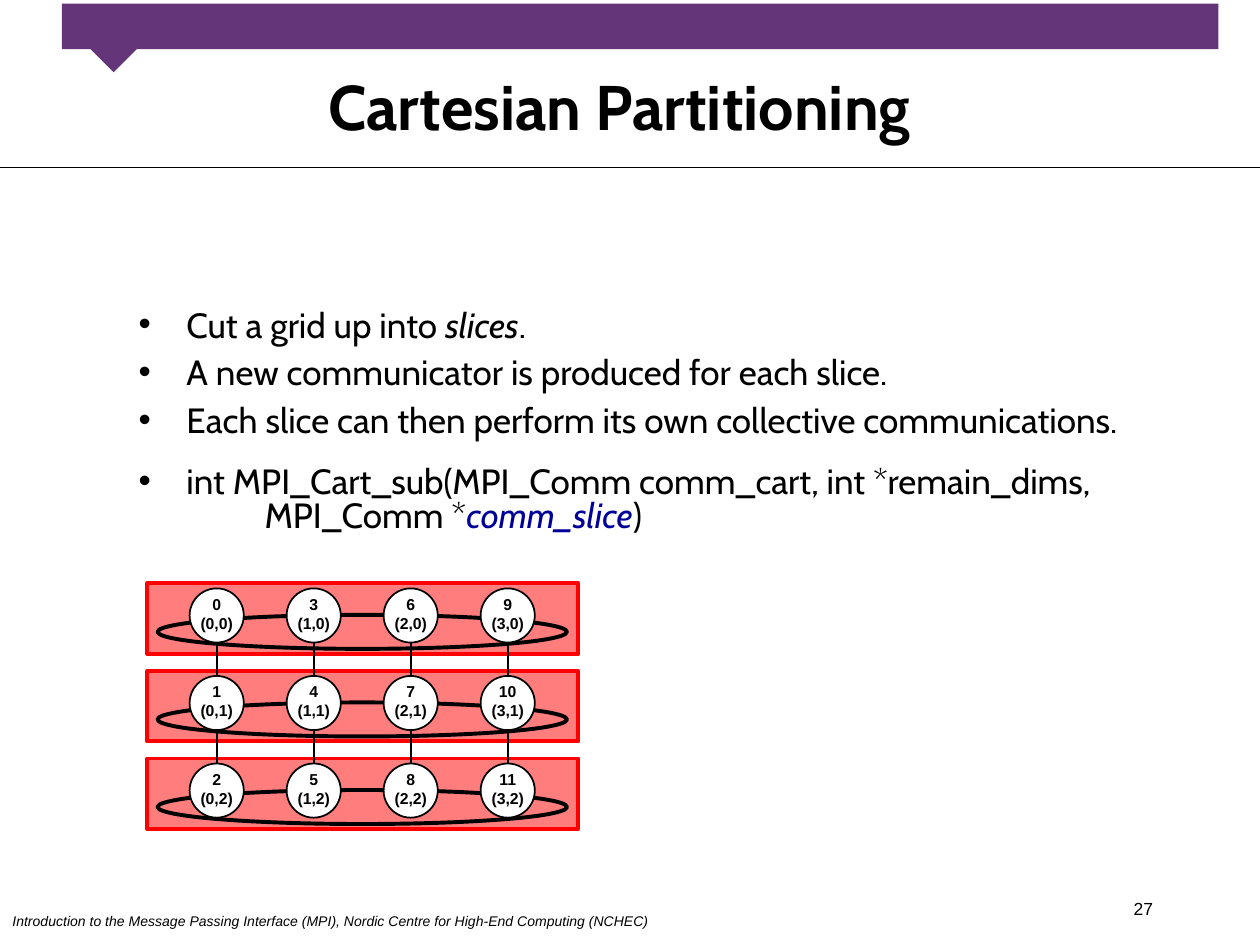
import pptx
import pptx.util
import pptx.dml.color
import pptx.enum.shapes
import pptx.enum.text
import pptx.oxml
import pptx.oxml.ns

# Grid: 100 columns by 75 rows over a slide of 10 by 7.5 inches
WIDE, HIGH = pptx.util.Inches(10), pptx.util.Inches(7.5)
COLS, ROWS = 100, 75
HUES = {"black": "000000", "white": "FFFFFF", "plum": "653579",
        "pink": "FF7D7D", "red": "FF0000", "navy": "000099"}
KIND = pptx.enum.shapes.MSO_SHAPE
ALIGN = pptx.enum.text.PP_ALIGN
MID = pptx.enum.text.MSO_ANCHOR.MIDDLE
TOP = pptx.enum.text.MSO_ANCHOR.TOP


def hue(name):
    return pptx.dml.color.RGBColor.from_string(HUES[name])


def span(box):
    """Turn left, top, width, height in grid units into lengths."""
    x, y, w, h = box
    return (int(x * WIDE / COLS), int(y * HIGH / ROWS),
            int(w * WIDE / COLS), int(h * HIGH / ROWS))


def place(item, box):
    item.left, item.top, item.width, item.height = span(box)


def shape(slide, kind, box, fill=None, edge=None, thick=1):
    item = slide.shapes.add_shape(kind, *span(box))
    item.shadow.inherit = False
    if fill:
        item.fill.solid()
        item.fill.fore_color.rgb = hue(fill)
    else:
        item.fill.background()
    if edge:
        item.line.color.rgb = hue(edge)
        item.line.width = pptx.util.Pt(thick)
    else:
        item.line.fill.background()
    return item


def rule(slide, x, y, w, h, thick):
    left, top, wide, high = span((x, y, w, h))
    line = slide.shapes.add_connector(
        pptx.enum.shapes.MSO_CONNECTOR.STRAIGHT,
        left, top, left + wide, top + high)
    line.line.color.rgb = hue("black")
    line.line.width = pptx.util.Pt(thick)
    pptx.oxml.ns.qn("a:effectLst")
    line.element.spPr.append(pptx.oxml.parse_xml(
        "<a:effectLst %s/>" % pptx.oxml.ns.nsdecls("a")))


def write(para, text, size, face="Cabin", tint="black", bold=False, slant=False):
    run = para.add_run()
    run.text = text
    font = run.font
    font.size, font.name = pptx.util.Pt(size), face
    font.bold, font.italic = bold, slant
    font.color.rgb = hue(tint)


def frame(item, anchor=TOP, sides=(0.1, 0.05, 0.1, 0.05), wrap=True):
    text = item.text_frame
    text.word_wrap = wrap
    text.auto_size = pptx.enum.text.MSO_AUTO_SIZE.NONE
    text.vertical_anchor = anchor
    (text.margin_left, text.margin_top, text.margin_right,
     text.margin_bottom) = map(pptx.util.Inches, sides)
    return text


def label(slide, box, lines, size, align=ALIGN.LEFT, **look):
    """Plain text box with one paragraph for each line."""
    return fill_in(slide.shapes.add_textbox(*span(box)), lines, size, align, look)


def fill_in(item, lines, size, align, look, **setup):
    text = frame(item, **setup)
    for i, line in enumerate(lines):
        para = text.add_paragraph() if i else text.paragraphs[0]
        para.alignment = align
        write(para, line, size, **look)
    return text


def header(slide, box):
    """Purple band with a pointer, title and rule below."""
    x, y, w, h = box
    shape(slide, KIND.RECTANGLE, (x + 4.9, y + 0.3, w - 8.2, 3.6), "plum")
    tip = shape(slide, KIND.RECTANGLE, (x + 7.7, y + 1.2, 3.2, 4), "plum")
    tip.rotation = 45
    title = slide.shapes.title
    place(title, (x + 8.3, y + 5, w - 18.3, 6.7))
    fill_in(title, ["Cartesian Partitioning"], 36, ALIGN.CENTER,
            {"bold": True}, anchor=MID)
    rule(slide, x, y + h, w, 0, 0.75)


def footer(slide, box):
    x, y, w, h = box
    label(slide, (x, y + 1.1, 51.5, 2.4),
          ["Introduction to the Message Passing Interface (MPI), "
           "Nordic Centre for High-End Computing (NCHEC)"],
          8, face="Arial", slant=True).word_wrap = False
    label(slide, (x + w - 28.3, y, 20.8, 2.5), ["27"], 10, ALIGN.RIGHT, face="Arial")


def bullet(para):
    props = para._p.get_or_add_pPr()
    inset = pptx.util.Inches(0.38)
    props.set("marL", str(inset))
    props.set("indent", str(-inset))
    space = pptx.oxml.ns.nsdecls("a")
    for part in ('<a:buClr %s><a:srgbClr val="' + HUES["black"] + '"/></a:buClr>',
                 '<a:buFont %s typeface="Arial"/>', '<a:buChar %s char="•"/>'):
        props.append(pptx.oxml.parse_xml(part % space))


def points(slide, box):
    """Bulleted list: space before, then runs of text and look."""
    em = {"slant": True}
    items = [
        (0, [("Cut a grid up into ", {}), ("slices", em), (".", {})]),
        (8, [("A new communicator is produced for each slice.", {})]),
        (8, [("Each slice can then perform its own collective communications.", {})]),
        (16, [("int MPI_Cart_sub(MPI_Comm comm_cart, int *remain_dims,", {}),
              None, ("\t\tMPI_Comm *", {}),
              ("comm_slice", {"slant": True, "tint": "navy"}), (")", {})]),
    ]
    body = slide.placeholders[1]
    place(body, box)
    text = frame(body, sides=(0.1, 0.05, 0.04, 0.05))
    for i, (gap, runs) in enumerate(items):
        para = text.add_paragraph() if i else text.paragraphs[0]
        para.line_spacing = 0.8
        para.space_before = pptx.util.Pt(gap)
        bullet(para)
        for run in runs:
            if run is None:
                para.add_line_break()
            else:
                write(para, run[0], 20, **run[1])


def lattice(slide, box, cols=4, rows=3):
    """Process grid: one slice per row, ringed and linked by column."""
    x, y, w, h = box
    band, size, ring = 5.6, 4.3, 2.7
    pitch = (h - band) / (rows - 1)
    step = 7.7
    left = x + (w - step * (cols - 1) - size) / 2 - 0.05
    tops = [y + pitch * r for r in range(rows)]
    lefts = [left + step * c for c in range(cols)]

    for top in tops:
        shape(slide, KIND.RECTANGLE, (x, top, w, band), "pink", "red", 2.25)
    for spot in lefts:
        rule(slide, spot + size / 2, y + 4.7, 0, 2 * pitch - 4, 1)
    for top in tops:
        shape(slide, KIND.OVAL, (x + 0.8, top + 2.5, w - 1.7, ring),
              None, "black", 2.25)
    for r, top in enumerate(tops):
        for c, spot in enumerate(lefts):
            shape(slide, KIND.OVAL, (spot, top + 0.4, size, size), "white", "black")
            note = slide.shapes.add_textbox(*span((spot + 0.8, top + 0.9, 2.7, 3)))
            fill_in(note, [str(c * rows + r), f"({c},{r})"], 9, ALIGN.CENTER,
                    {"face": "Arial", "bold": True},
                    anchor=MID, sides=(0, 0, 0, 0), wrap=False)


def main():
    deck = pptx.Presentation()
    deck.slide_width, deck.slide_height = WIDE, HIGH
    slide = deck.slides.add_slide(deck.slide_layouts[1])
    header(slide, (0, 0, COLS, 13.3))
    footer(slide, (0, 70.8, COLS, 4.2))
    points(slide, (10, 24.2, 88.5, 47.5))
    lattice(slide, (11.7, 46.3, 34.2, 19.5))
    deck.save("out.pptx")


if __name__ == "__main__":
    main()
